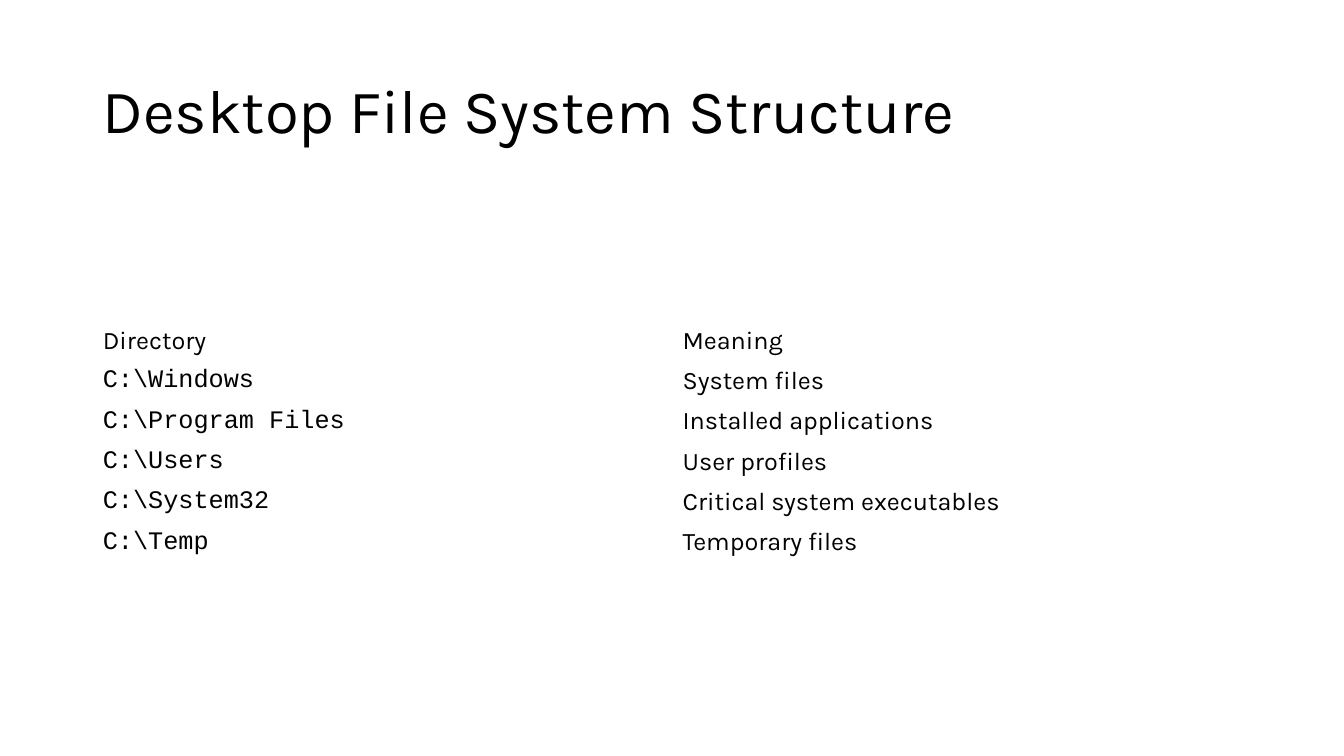
import pptx
import pptx.dml.color
import pptx.enum.text
import pptx.util
from pptx.util import Inches

BLACK = pptx.dml.color.RGBColor(0, 0, 0)
MIDDLE = pptx.enum.text.MSO_ANCHOR.MIDDLE
BODY_FONT = "Karla"
PATH_FONT = "Courier New"
LEFT, WIDTH = 0.92, 11.5
ROW_HEIGHT = 0.39

DIRECTORIES = [
    ("Directory", "Meaning"),
    (r"C:\Windows", "System files"),
    (r"C:\Program Files", "Installed applications"),
    (r"C:\Users", "User profiles"),
    (r"C:\System32", "Critical system executables"),
    (r"C:\Temp", "Temporary files"),
]


def write_text(frame, text, size, font_name):
    frame.text = text
    font = frame.paragraphs[0].runs[0].font
    font.size = pptx.util.Pt(size)
    font.name = font_name
    font.color.rgb = BLACK


deck = pptx.Presentation()
deck.slide_width = Inches(13.33)
deck.slide_height = Inches(7.5)
page = deck.slides.add_slide(deck.slide_layouts[6])

# Title
title = page.shapes.add_textbox(Inches(LEFT), Inches(0.4), Inches(WIDTH), Inches(1.45))
title.text_frame.word_wrap = True
title.text_frame.vertical_anchor = MIDDLE
write_text(title.text_frame, "Desktop File System Structure", 44, BODY_FONT)
title.text_frame.paragraphs[0].line_spacing = 0.9

# Directory table
table = page.shapes.add_table(
    len(DIRECTORIES), 2, Inches(LEFT), Inches(3.18),
    Inches(WIDTH), Inches(ROW_HEIGHT * len(DIRECTORIES)),
).table
table.first_row = False
table.horz_banding = False

for row, texts in enumerate(DIRECTORIES):
    for column, text in enumerate(texts):
        cell = table.cell(row, column)
        cell.fill.background()
        cell.vertical_anchor = MIDDLE
        is_path = row > 0 and column == 0
        write_text(cell.text_frame, text, 18, PATH_FONT if is_path else BODY_FONT)

deck.save("out.pptx")
